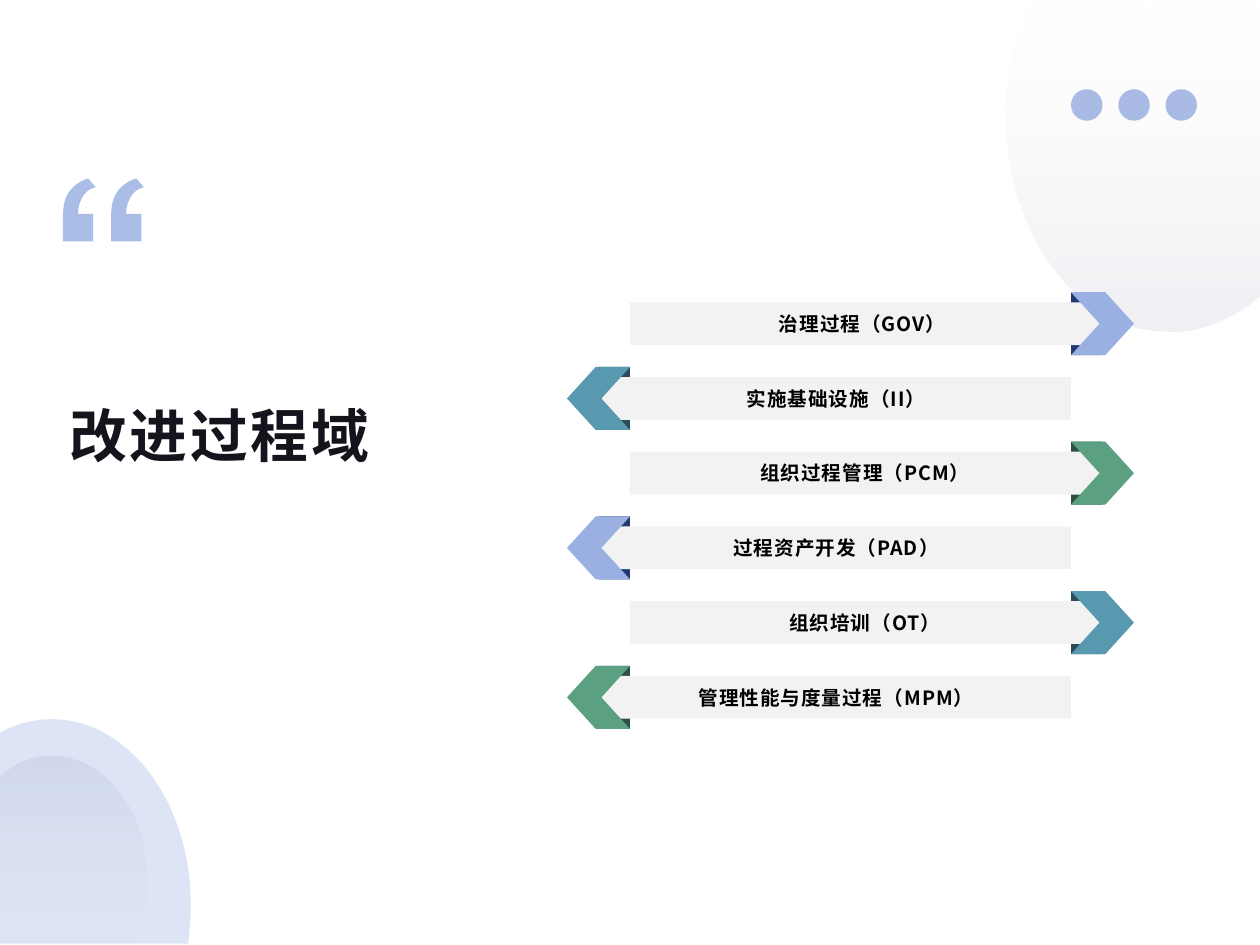
from lxml import etree
from pptx import Presentation
from pptx.dml.color import RGBColor
from pptx.enum.shapes import MSO_SHAPE
from pptx.enum.text import MSO_ANCHOR, MSO_AUTO_SIZE, PP_ALIGN
from pptx.oxml.ns import qn
from pptx.util import Pt

RECT, OVAL, ARROW = MSO_SHAPE.RECTANGLE, MSO_SHAPE.OVAL, MSO_SHAPE.CHEVRON
MID, FIXED = MSO_ANCHOR.MIDDLE, MSO_AUTO_SIZE.NONE
LEFT, CENTER = PP_ALIGN.LEFT, PP_ALIGN.CENTER
FACE = "Noto Sans CJK SC"

WHITE = RGBColor(0xFF, 0xFF, 0xFF)
MIST = RGBColor(0xBE, 0xBE, 0xD2)
ACCENT = RGBColor(0x57, 0x7C, 0xCE)
INK = RGBColor(0x14, 0x14, 0x1D)
BLACK = RGBColor(0, 0, 0)
GREY = RGBColor(0xF2, 0xF2, 0xF2)
BLUE = RGBColor(0x9A, 0xB0, 0xE2)
NAVY = RGBColor(0x21, 0x3A, 0x71)
TEAL = RGBColor(0x59, 0x99, 0xAF)
SLATE = RGBColor(0x2B, 0x4D, 0x59)
GREEN = RGBColor(0x5B, 0xA0, 0x80)
MOSS = RGBColor(0x2E, 0x50, 0x40)

TITLE = "改进过程域"
ITEMS = [
    "治理过程（GOV） ",
    "实施基础设施（II）",
    "组织过程管理（PCM）",
    "过程资产开发（PAD）",
    "组织培训（OT）",
    "管理性能与度量过程（MPM）",
]
HUES = [(BLUE, NAVY), (TEAL, SLATE), (GREEN, MOSS)]
FADE = [(WHITE, 10), (MIST, 24)]
TOP_DISC = [
    (590, 0), (720, 0), (720, 168.5), (713, 174),
    (699, 183.5, 684, 189.3, 668, 189.3),
    (616, 189.3, 574.5, 134.5, 574.5, 66),
    (574.5, 45.5, 579, 25, 586, 8),
]
INNER_DISC = [
    (75, 540), (0, 540), (0, 443.5), (4.5, 440),
    (11.5, 434.5, 20.5, 431.5, 29.5, 431.5),
    (59.5, 431.5, 83.5, 463, 83.5, 502),
    (83.5, 514, 81.5, 525.5, 77, 535.5),
]
OUTER_DISC = [
    (29.5, 411), (73.5, 411, 109, 458.5, 109, 517),
    (109, 524.5, 108.5, 531.5, 107.5, 538.5),
    (107.5, 539.3), (0, 539.3), (0, 419), (0.7, 418.5),
    (9.5, 413.5, 19.5, 411, 29.5, 411),
]
QUOTE = [
    (17.3, 20.2), (17.3, 36), (0, 36), (0, 23),
    (0, 16.6, 0.7, 12.2, 2.9, 8.6), (5, 5, 9.4, 1.4, 14.4, 0),
    (18.7, 5),
    (15.1, 5.8, 13, 7.9, 11.5, 10.1), (10.1, 12.2, 8.6, 15.8, 8.6, 20.2),
]


def put(thing, vals):
    for key, val in vals.items():
        setattr(thing, key, val)


def paint(shape, stops):
    shape.shadow.inherit = False
    shape.line.fill.background()
    if len(stops) == 1:
        shape.fill.solid()
        shape.fill.fore_color.rgb = stops[0][0]
    else:
        shape.fill.gradient()
        shape.fill.gradient_angle = 270
        for stop, (hue, _) in zip(shape.fill.gradient_stops, stops):
            stop.color.rgb = hue
    colors = list(shape._element.spPr.iter(qn("a:srgbClr")))
    for color, (_, pct) in zip(colors, stops):
        if pct < 100:
            alpha = etree.SubElement(color, qn("a:alpha"))
            alpha.set("val", str(pct * 1000))


def add(shapes, kind, box, hue, pct=100):
    shape = shapes.add_shape(kind, *map(Pt, box))
    paint(shape, [(hue, pct)])
    return shape


def write(shape, text, frame, para, font, gap):
    body = shape.text_frame
    put(body, frame)
    line = body.paragraphs[0]
    put(line, para)
    run = line.add_run()
    run.text = text
    put(run.font, {"name": FACE, "bold": True, "size": font[0]})
    run.font.color.rgb = font[1]
    props = run._r.get_or_add_rPr()
    props.set("spc", str(gap))
    etree.SubElement(props, qn("a:ea")).set("typeface", FACE)


def bend(line, step, shape):
    line.tag = qn("a:cubicBezTo")
    for child in list(line):
        line.remove(child)
    for x, y in zip(step[::2], step[1::2]):
        spot = etree.SubElement(line, qn("a:pt"))
        spot.set("x", str(Pt(x) - shape.left))
        spot.set("y", str(Pt(y) - shape.top))


def outline(shapes, loops, stops):
    pen = None
    for loop in loops:
        ends = [(Pt(step[-2]), Pt(step[-1])) for step in loop]
        if pen is None:
            pen = shapes.build_freeform(*ends[0])
        else:
            pen.move_to(*ends[0])
        pen.add_line_segments(ends[1:], close=True)
    shape = pen.convert_to_shape()
    lines = list(shape._element.spPr.iter(qn("a:lnTo")))
    steps = [step for loop in loops for step in loop[1:]]
    for line, step in zip(lines, steps):
        if len(step) == 6:
            bend(line, step, shape)
    paint(shape, stops)


def shift(path, dx, dy):
    return [tuple(n + (dy if i % 2 else dx) for i, n in enumerate(step))
            for step in path]


def banner(shapes, num, text):
    top = 167 + 42.7 * num
    back = num % 2 == 1
    hue, dark = HUES[num % 3]
    fold, bar, head = (342, 343.5, 324) if back else (612, 360, 612)
    add(shapes, RECT, (fold, top, 18, 36), dark)
    strip = add(shapes, RECT, (bar, top + 5.75, 268.5, 24.5), GREY)
    write(strip, text, {"vertical_anchor": MID, "word_wrap": True},
          {"alignment": CENTER, "space_after": Pt(8)}, (Pt(11.2), BLACK), 60)
    tip = add(shapes, ARROW, (head, top, 36, 36), hue)
    tip.adjustments[0] = 0.455
    if back:
        tip.rotation = 180


def main():
    deck = Presentation()
    put(deck, {"slide_width": Pt(720), "slide_height": Pt(540)})
    slide = deck.slides.add_slide(deck.slide_layouts[5])
    shapes = slide.shapes
    slide.background.fill.solid()
    slide.background.fill.fore_color.rgb = WHITE

    title = shapes.title
    put(title, {"left": Pt(36), "top": Pt(188),
                "width": Pt(216), "height": Pt(120)})
    write(title, TITLE,
          {"vertical_anchor": MID, "word_wrap": True, "auto_size": FIXED,
           "margin_left": Pt(3.6), "margin_right": Pt(3.6),
           "margin_top": Pt(1.5), "margin_bottom": Pt(1.5)},
          {"alignment": LEFT}, (Pt(33), INK), 160)

    outline(shapes, [TOP_DISC], FADE)
    outline(shapes, [INNER_DISC], FADE[::-1])
    for i in range(3):
        add(shapes, OVAL, (612 + 27 * i, 51, 18, 18), ACCENT, 50)
    outline(shapes, [OUTER_DISC], [(ACCENT, 20)])
    marks = [shift(QUOTE, x, 102) for x in (36, 63.5)]
    outline(shapes, marks, [(ACCENT, 50)])
    for num in (0, 2, 4, 1, 3, 5):
        banner(shapes, num, ITEMS[num])
    deck.save("out.pptx")


if __name__ == "__main__":
    main()
